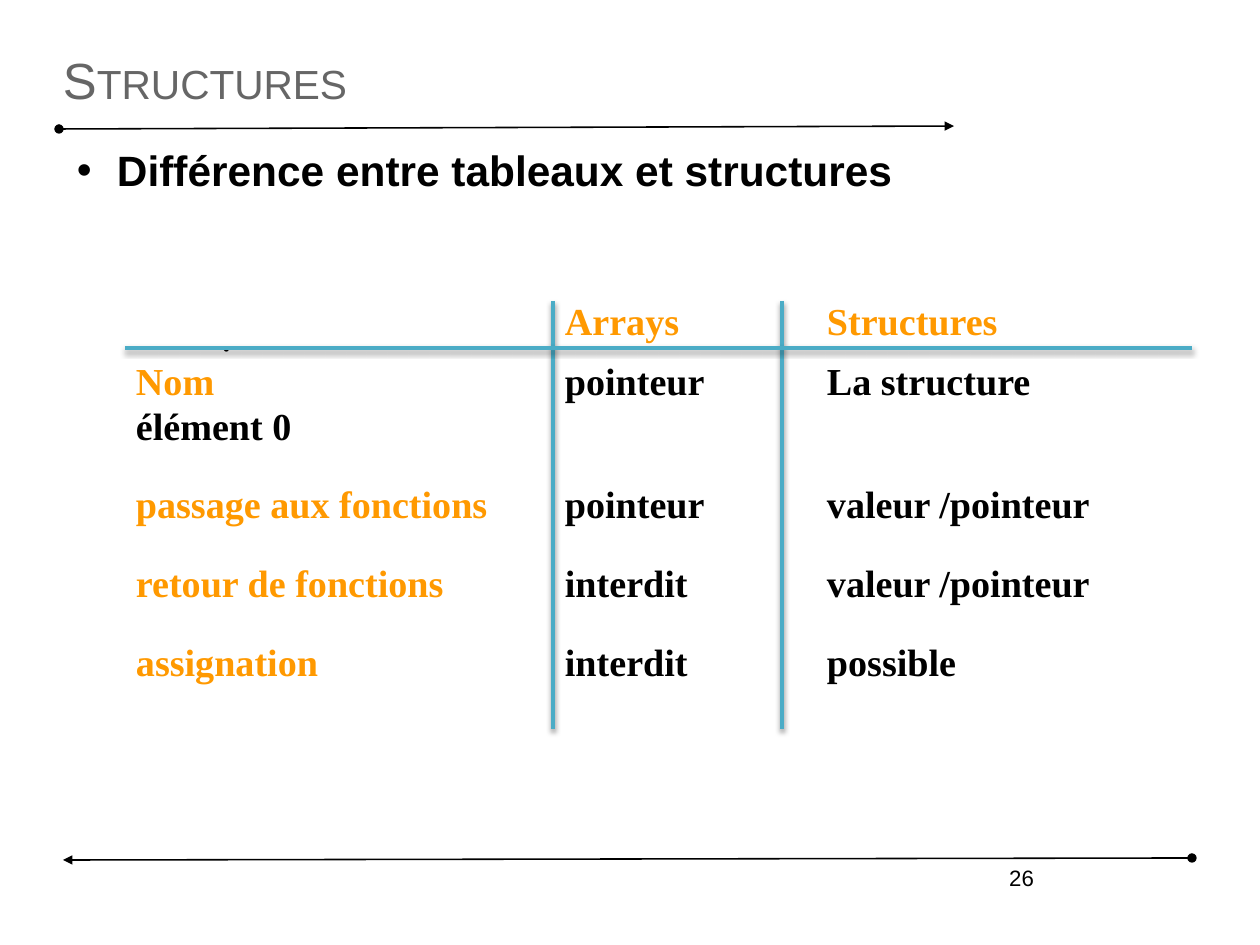
from lxml.etree import SubElement
from pptx import Presentation
from pptx.dml.color import RGBColor
from pptx.enum.shapes import MSO_CONNECTOR as Connector
from pptx.enum.text import MSO_ANCHOR as Anchor, MSO_AUTO_SIZE as AutoSize, PP_ALIGN as Align
from pptx.oxml.ns import qn
from pptx.util import Emu, Pt

EMU_PER_PX = 8000
SLIDE_SIZE = (1260, 945)
PADDING = (11, 6)
COLORS = {"black": "000000", "title": "666666", "label": "FF9900", "grid": "4BACC6"}
SANS, SERIF = "Arial", "Times New Roman"
COLUMN_TABS = (429, 691)
HEADINGS = ("", "Arrays", "Structures")
ROWS = [
    (9, ("Nom", "pointeur", "La structure"), "élément 0"),
    (20, ("passage aux fonctions", "pointeur", "valeur /pointeur"), None),
    (21, ("retour de fonctions", "interdit", "valeur /pointeur"), None),
    (21, ("assignation", "interdit", "possible"), None),
]


def px(length):
    return Emu(length * EMU_PER_PX)


def set_all(target, values):
    for name, value in values.items():
        setattr(target, name, value)


def place_text(shape, box, padding=(0, 0), anchor=Anchor.TOP):
    set_all(shape, dict(zip(("left", "top", "width", "height"), map(px, box))))
    frame = shape.text_frame
    horizontal, vertical = map(px, padding)
    set_all(frame, {
        "word_wrap": True, "auto_size": AutoSize.NONE, "vertical_anchor": anchor,
        "margin_left": horizontal, "margin_right": horizontal,
        "margin_top": vertical, "margin_bottom": vertical,
    })
    return frame


def add_text_box(slide, box, padding=PADDING):
    return place_text(slide.shapes.add_textbox(0, 0, 0, 0), box, padding)


def add_run(paragraph, text, size, color, font=SANS, bold=False):
    run = paragraph.add_run()
    run.text = text
    set_all(run.font, {"name": font, "size": Pt(size), "bold": bold})
    run.font.color.rgb = RGBColor.from_string(COLORS[color])
    return run


def add_line(slide, start, end, color, width):
    line = slide.shapes.add_connector(Connector.STRAIGHT, *map(px, start + end))
    line.line.color.rgb = RGBColor.from_string(COLORS[color])
    line.line.width = Pt(width)
    effects = SubElement(line._element.spPr, qn("a:effectLst"))
    return line, effects


def add_arrow(slide, start, end):
    arrow, _ = add_line(slide, start, end, "black", 1)
    outline = arrow.line._get_or_add_ln()
    for tag, kind in (("a:headEnd", "oval"), ("a:tailEnd", "triangle")):
        SubElement(outline, qn(tag), type=kind)


def add_grid_line(slide, start, end):
    _, effects = add_line(slide, start, end, "grid", 3)
    shadow = SubElement(effects, qn("a:outerShdw"), blurRad="40000", dist="23000",
                        dir="5400000", rotWithShape="0")
    color = SubElement(shadow, qn("a:srgbClr"), val=COLORS["black"])
    SubElement(color, qn("a:alpha"), val="35000")


def add_title(slide, box):
    frame = place_text(slide.shapes.title, box, anchor=Anchor.MIDDLE)
    paragraph = frame.paragraphs[0]
    paragraph.alignment = Align.LEFT
    run = add_run(paragraph, "Structures", 32, "title")
    run.font._element.set("cap", "small")
    left, top, _, height = box
    add_arrow(slide, (left - 4, top + height + 9), (left + 891, top + height + 6))


def add_bullet(slide, box):
    paragraph = add_text_box(slide, box, (0, 0)).paragraphs[0]
    paragraph.space_before = Pt(9.4)
    properties = paragraph._p.get_or_add_pPr()
    properties.set("marL", str(px(54)))
    properties.set("indent", str(px(-40)))
    SubElement(properties, qn("a:buFont"), typeface=SANS)
    SubElement(properties, qn("a:buChar"), char="•")
    add_run(paragraph, "Différence entre tableaux et structures", 26.7, "black", bold=True)


def add_row(paragraph, cells, colors, space_before):
    paragraph.space_before = Pt(space_before)
    tabs = SubElement(paragraph._p.get_or_add_pPr(), qn("a:tabLst"))
    for position in COLUMN_TABS:
        SubElement(tabs, qn("a:tab"), pos=str(px(position)), algn="l")
    for index, (cell, color) in enumerate(zip(cells, colors)):
        text = "\t" + cell if index else cell
        if text:
            add_run(paragraph, text, 24, color, SERIF, True)


def add_comparison(slide, box):
    left, top, _, _ = box
    dot = add_text_box(slide, (left + 85, top + 10, 982, 112)).paragraphs[0]
    add_run(dot, ".", 28, "black", SERIF)
    frame = add_text_box(slide, box)
    add_row(frame.paragraphs[0], HEADINGS, ("label",) * 3, 5)
    for space_before, cells, second_line in ROWS:
        paragraph = frame.add_paragraph()
        add_row(paragraph, cells, ("label", "black", "black"), space_before)
        if second_line:
            paragraph.add_line_break()
            add_run(paragraph, second_line, 24, "black", SERIF, True)
    for column in (428, 657):
        add_grid_line(slide, (left + column, top + 10), (left + column, top + 438))
    add_grid_line(slide, (left, top + 57), (left + 1067, top + 57))


def add_footer(slide, box):
    left, top, width, _ = box
    add_arrow(slide, (left + width, top), (left, top + 2))
    paragraph = add_text_box(slide, (left + 688, top, 294, 65)).paragraphs[0]
    paragraph.alignment = Align.RIGHT
    add_run(paragraph, "26", 14, "black")


def main():
    presentation = Presentation()
    set_all(presentation, dict(zip(("slide_width", "slide_height"), map(px, SLIDE_SIZE))))
    slide = presentation.slides.add_slide(presentation.slide_layouts[5])
    add_title(slide, (63, 38, 1134, 82))
    add_bullet(slide, (63, 144, 1134, 708))
    add_comparison(slide, (125, 291, 1008, 549))
    add_footer(slide, (63, 858, 1129, 65))
    presentation.save("out.pptx")


if __name__ == "__main__":
    main()
